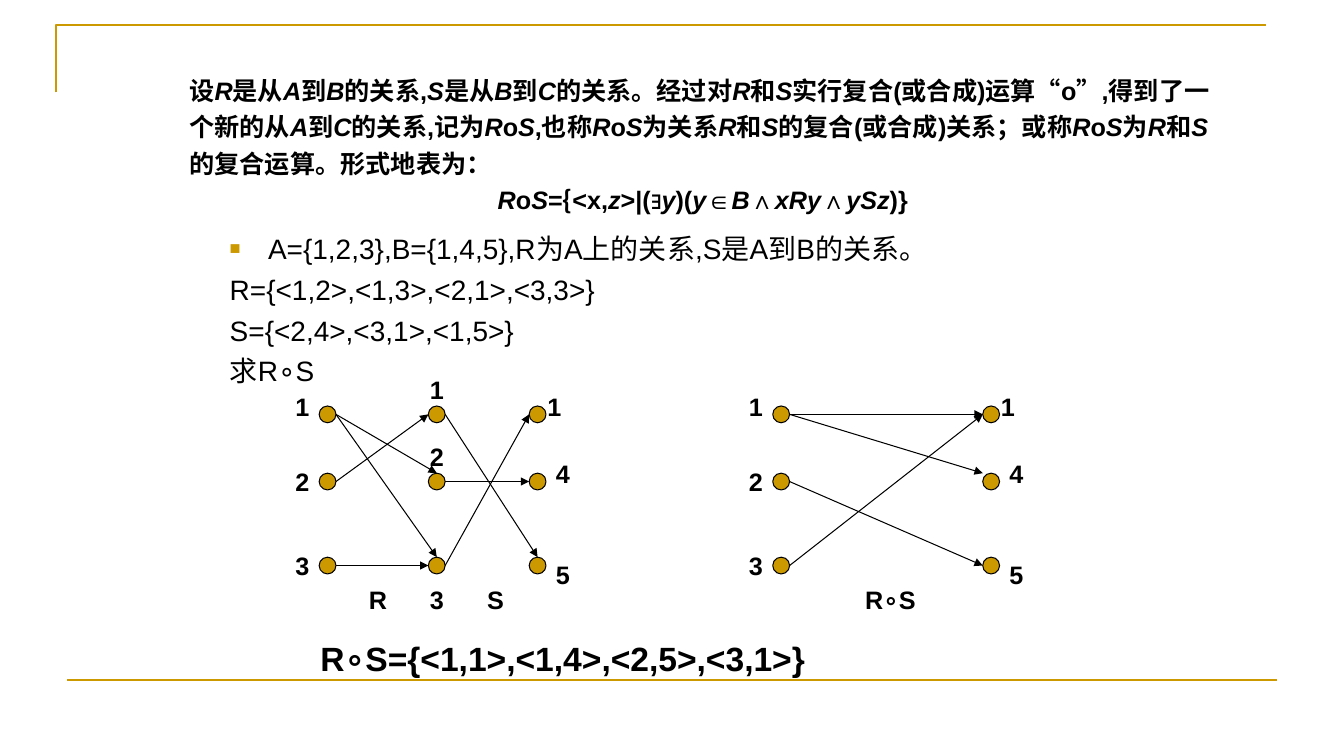
from dataclasses import dataclass

from lxml.etree import SubElement
from pptx import Presentation
from pptx.dml.color import RGBColor
from pptx.enum.shapes import MSO_CONNECTOR, MSO_SHAPE
from pptx.enum.text import MSO_ANCHOR, MSO_AUTO_SIZE, PP_ALIGN
from pptx.oxml.ns import qn
from pptx.util import Inches, Pt


@dataclass(frozen=True)
class Theme:
    gold: RGBColor = RGBColor(0xCC, 0x99, 0x00)
    ink: RGBColor = RGBColor(0, 0, 0)
    latin: str = "Arial"
    asian: str = "Noto Sans CJK SC"
    label: int = 18
    body: int = 20
    answer: int = 24
    frame: float = 1.5
    thin: float = 0.75


LEAD = (
    "设*R*是从*A*到*B*的关系,*S*是从*B*到*C*的关系。经过对*R*和*S*"
    "实行复合(或合成)运算“ο”,得到了一个新的从*A*到*C*的关系,记为"
    "*R*ο*S*,也称*R*ο*S*为关系*R*和*S*的复合(或合成)关系；或称"
    "*R*ο*S*为*R*和*S*的复合运算。形式地表为："
)
RULE = "*R*ο*S*=**{**<x,*z*>|(∃*y*)(*y*∈*B*∧*xRy*∧*ySz*)}"
TASK = (
    "A={1,2,3},B={1,4,5},R为A上的关系,S是A到B的关系。",
    "R={<1,2>,<1,3>,<2,1>,<3,3>}",
    "S={<2,4>,<3,1>,<1,5>}",
    "求R∘S",
)

COLS, ROWS = 160, 90
LEVELS = (49.33, 57.33, 67.33)
CAPTION = 71.33
# Each set of nodes: names, then label offsets from the node centre
LEFT = ("123", (-3, -3, -3), (-1, 0, 0))
MIDDLE = ("123", (0, 0, 0), (-3, -3, 4))
RIGHT = ("145", (2, 3, 3), (-1, -1, 1))
# Where an arrow meets its end node, as an offset from the centre
SIDE, TOP, CORNER = (-1, 0), (0, -1), (-1, -1)


def apply(target, values):
    for name, value in values.items():
        setattr(target, name, value)


class Board:
    """A slide measured in grid columns and rows."""

    def __init__(self, deck, theme):
        self.theme = theme
        self.wide, self.high = deck.slide_width, deck.slide_height
        self.slide = deck.slides.add_slide(deck.slide_layouts[1])
        title = self.slide.shapes.title.element
        title.getparent().remove(title)
        self.host = self.slide.shapes

    def spot(self, col, row):
        return round(self.wide * col / COLS), round(self.high * row / ROWS)

    def stroke(self, shape, color, width):
        shape.line.color.rgb = color
        shape.line.width = Pt(width)

    def fill_in(self, para, text, size, bold=True):
        """Add runs; asterisks enclose italic parts."""
        for i, part in enumerate(text.split("*")):
            if not part:
                continue
            run = para.add_run()
            run.text = part
            name = self.theme.asian if part == "{" else self.theme.latin
            apply(run.font, {"size": Pt(size), "bold": bold,
                             "italic": i % 2 == 1, "name": name})
            run.font.color.rgb = self.theme.ink
            SubElement(run._r.get_or_add_rPr(), qn("a:ea"),
                       typeface=self.theme.asian)

    def frame(self):
        start, *rest = [self.spot(*p) for p in ((6.67, 11), (6.67, 3), (150.67, 3))]
        pen = self.host.build_freeform(*start)
        pen.add_line_segments(rest, close=False)
        edge = pen.convert_to_shape()
        edge.shadow.inherit = False
        edge.fill.background()
        self.stroke(edge, self.theme.gold, self.theme.frame)
        self.line((8, 81), (152, 81), self.theme.gold, self.theme.frame)

    def line(self, start, end, color, width):
        link = self.host.add_connector(
            MSO_CONNECTOR.STRAIGHT, *self.spot(*start), *self.spot(*end))
        self.stroke(link, color, width)
        SubElement(link.element.spPr, qn("a:effectLst"))
        return link

    def arrow(self, start, end):
        link = self.line(start, end, self.theme.ink, self.theme.thin)
        SubElement(link.element.spPr.find(qn("a:ln")), qn("a:tailEnd"),
                   type="triangle")

    def label(self, text, col, row, size, wide=6, high=6):
        """Place bold text centred on a grid point."""
        box = self.host.add_textbox(
            *self.spot(col - wide / 2, row - high / 2), *self.spot(wide, high))
        apply(box.text_frame, {"word_wrap": False,
                               "vertical_anchor": MSO_ANCHOR.MIDDLE})
        para = box.text_frame.paragraphs[0]
        para.alignment = PP_ALIGN.CENTER
        self.fill_in(para, text, size)

    def node(self, col, row):
        dot = self.host.add_shape(
            MSO_SHAPE.OVAL, *self.spot(col - 1, row - 1), *self.spot(2, 2))
        dot.shadow.inherit = False
        dot.fill.solid()
        dot.fill.fore_color.rgb = self.theme.gold
        self.stroke(dot, self.theme.ink, self.theme.thin)

    def graph(self, sets, links, notes):
        """Draw node columns, arrows between them and captions as one group."""
        self.host = self.slide.shapes.add_group_shape().shapes
        for col, (names, across, down) in sets:
            for name, row, dx, dy in zip(names, LEVELS, across, down):
                self.node(col, row)
                self.label(name, col + dx, row + dy, self.theme.label)
        for step, first, last, (dx, dy) in links:
            self.arrow((sets[step][0] + 1, LEVELS[first - 1]),
                       (sets[step + 1][0] + dx, LEVELS[last - 1] + dy))
        for text, col in notes:
            self.label(text, col, CAPTION, self.theme.label, wide=12)
        self.host = self.slide.shapes

    def lead(self, *texts):
        box = self.host.add_textbox(*self.spot(21.36, 7.68), *self.spot(124.62, 18.48))
        box.text_frame.word_wrap = True
        for i, text in enumerate(texts):
            para = box.text_frame.add_paragraph() if i else box.text_frame.paragraphs[0]
            apply(para, {"line_spacing": 1.2,
                         "alignment": PP_ALIGN.CENTER if i else PP_ALIGN.LEFT})
            self.fill_in(para, text, self.theme.label)

    def task(self, texts):
        body = self.slide.placeholders[1]
        left, top = self.spot(26.15, 27)
        wide, high = self.spot(108, 53.76)
        apply(body, {"left": left, "top": top, "width": wide, "height": high})
        frame = body.text_frame
        apply(frame, {"auto_size": MSO_AUTO_SIZE.NONE, "word_wrap": True,
                      "vertical_anchor": MSO_ANCHOR.TOP})
        for i, text in enumerate(texts):
            para = frame.add_paragraph() if i else frame.paragraphs[0]
            props = para._p.get_or_add_pPr()
            props.set("marL", str(Inches(0.38)))
            props.set("indent", str(-Inches(0.38)))
            if i:
                SubElement(props, qn("a:buNone"))
            else:
                tint = SubElement(props, qn("a:buClr"))
                SubElement(tint, qn("a:srgbClr"), val=str(self.theme.gold))
                SubElement(props, qn("a:buSzPct"), val="65000")
                SubElement(props, qn("a:buChar"), char="■")
            para.space_before = Pt(5 if i else 0)
            self.fill_in(para, text, self.theme.body, bold=False)


def main():
    deck = Presentation()
    deck.slide_width, deck.slide_height = Inches(13.34), Inches(7.5)
    board = Board(deck, Theme())
    board.frame()
    board.task(TASK)
    # Links: step, start level, end level, meeting point
    board.graph(
        ((39, LEFT), (52, MIDDLE), (64, RIGHT)),
        ((0, 1, 2, TOP), (0, 1, 3, TOP), (0, 2, 1, SIDE), (0, 3, 3, SIDE),
         (1, 2, 2, SIDE), (1, 3, 1, SIDE), (1, 1, 3, TOP)),
        (("R", 45), ("S", 59)))
    board.graph(
        ((93, LEFT), (118, RIGHT)),
        ((0, 1, 2, CORNER), (0, 1, 1, SIDE), (0, 2, 3, SIDE), (0, 3, 1, SIDE)),
        (("R∘S", 106),))
    board.label("R∘S={<1,1>,<1,4>,<2,5>,<3,1>}", 67, 78.33,
                board.theme.answer, wide=79, high=8)
    board.lead(LEAD, RULE)
    deck.save("out.pptx")


if __name__ == "__main__":
    main()
